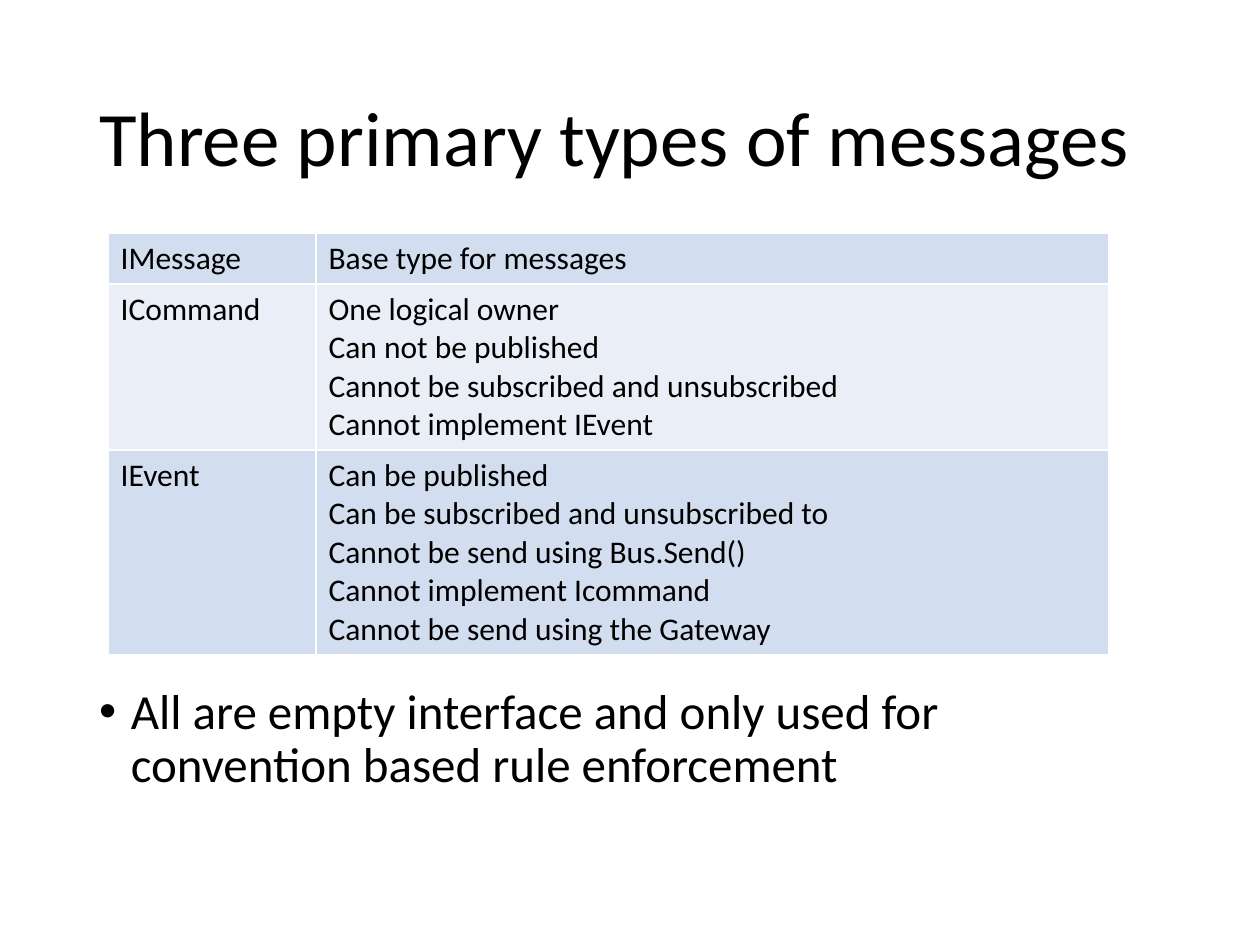
from lxml import etree
from pptx import Presentation, util as u
from pptx.dml import color
from pptx.enum import text as t
from pptx.oxml import ns

FONT = "Calibri"
COLORS = {"ink": "000000", "band": "D2DEEF", "light": "EAEFF7", "border": "FFFFFF"}
MESSAGE_TYPES = [
    ("IMessage", ["Base type for messages"]),
    ("ICommand", ["One logical owner",
                  "Can not be published",
                  "Cannot be subscribed and unsubscribed",
                  "Cannot implement IEvent"]),
    ("IEvent", ["Can be published",
                "Can be subscribed and unsubscribed to",
                "Cannot be send using Bus.Send()",
                "Cannot implement Icommand",
                "Cannot be send using the Gateway"]),
]


def rgb(name):
    return color.RGBColor.from_string(COLORS[name])


def write(paragraph, words, size):
    run = paragraph.add_run()
    run.text = words
    run.font.name = FONT
    run.font.size = u.Pt(size)
    run.font.color.rgb = rgb("ink")


def add_text(slide, box, words, size, anchor):
    frame = slide.shapes.add_textbox(*map(u.Cm, box)).text_frame
    frame.word_wrap = True
    frame.vertical_anchor = anchor
    paragraph = frame.paragraphs[0]
    paragraph.line_spacing = 0.9
    write(paragraph, words, size)
    return paragraph


def add_title(slide, box):
    add_text(slide, box, "Three primary types of messages", 44, t.MSO_ANCHOR.MIDDLE)


def add_summary(slide, box):
    summary = add_text(
        slide, box,
        "All are empty interface and only used for convention based rule enforcement",
        28, t.MSO_ANCHOR.TOP)
    summary.space_before = u.Pt(10)
    # Bullet with hanging indent
    props = summary._p.get_or_add_pPr()
    indent = u.Cm(0.64)
    props.set("marL", str(indent))
    props.set("indent", str(-indent))
    etree.SubElement(props, ns.qn("a:buFont"), typeface="Arial")
    etree.SubElement(props, ns.qn("a:buChar"), char="•")


def style_cell(cell, fill):
    props = cell._tc.get_or_add_tcPr()
    for side in ("lnL", "lnR", "lnT", "lnB"):
        line = etree.SubElement(props, ns.qn(f"a:{side}"), w=str(u.Pt(1)))
        solid = etree.SubElement(line, ns.qn("a:solidFill"))
        etree.SubElement(solid, ns.qn("a:srgbClr"), val=COLORS["border"])
    cell.fill.solid()
    cell.fill.fore_color.rgb = rgb(fill)


def add_message_table(slide, box):
    left, top, width, height = box
    table = slide.shapes.add_table(len(MESSAGE_TYPES), 2, *map(u.Cm, box)).table
    table.first_row = False
    name_width = 4.19
    for column, column_width in zip(table.columns, (name_width, width - name_width)):
        column.width = u.Cm(column_width)

    # Rows share the height by their number of lines, plus cell margins
    margins = 0.25
    line_count = sum(len(rules) for _, rules in MESSAGE_TYPES)
    line_height = (height - margins * len(MESSAGE_TYPES)) / line_count
    for i, (name, rules) in enumerate(MESSAGE_TYPES):
        table.rows[i].height = u.Cm(margins + line_height * len(rules))
        for cell, lines in zip(table.rows[i].cells, ([name], rules)):
            style_cell(cell, "light" if i % 2 else "band")
            frame = cell.text_frame
            for j, words in enumerate(lines):
                write(frame.add_paragraph() if j else frame.paragraphs[0], words, 18)


def main():
    deck = Presentation()
    deck.slide_width, deck.slide_height = u.Cm(25.4), u.Cm(19.05)
    slide = deck.slides.add_slide(deck.slide_layouts[6])
    add_title(slide, (1.75, 1.02, 21.9, 3.68))
    add_summary(slide, (1.75, 13.72, 21.9, 3.45))
    add_message_table(slide, (2.18, 4.7, 20.17, 8.5))
    deck.save("out.pptx")


if __name__ == "__main__":
    main()
